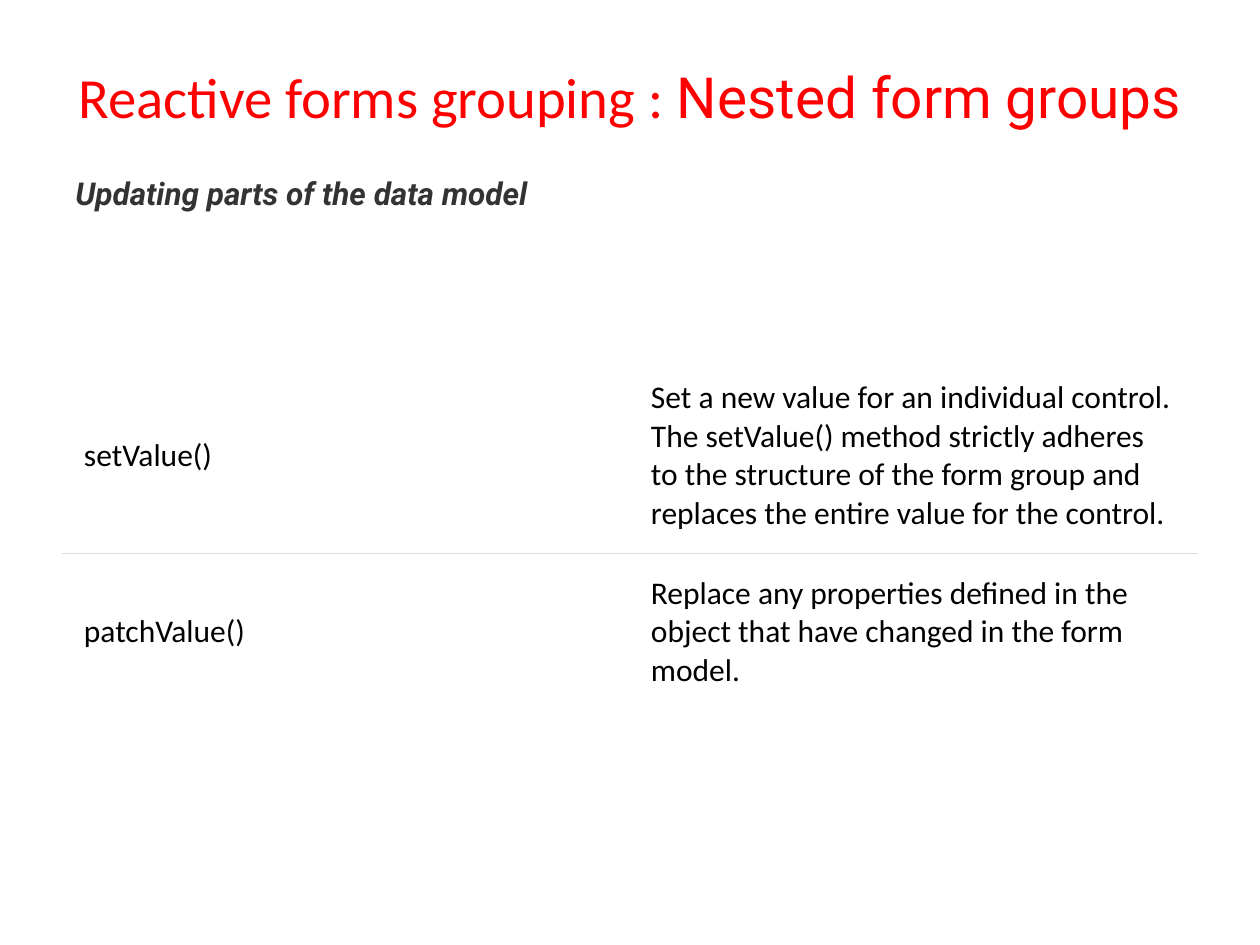
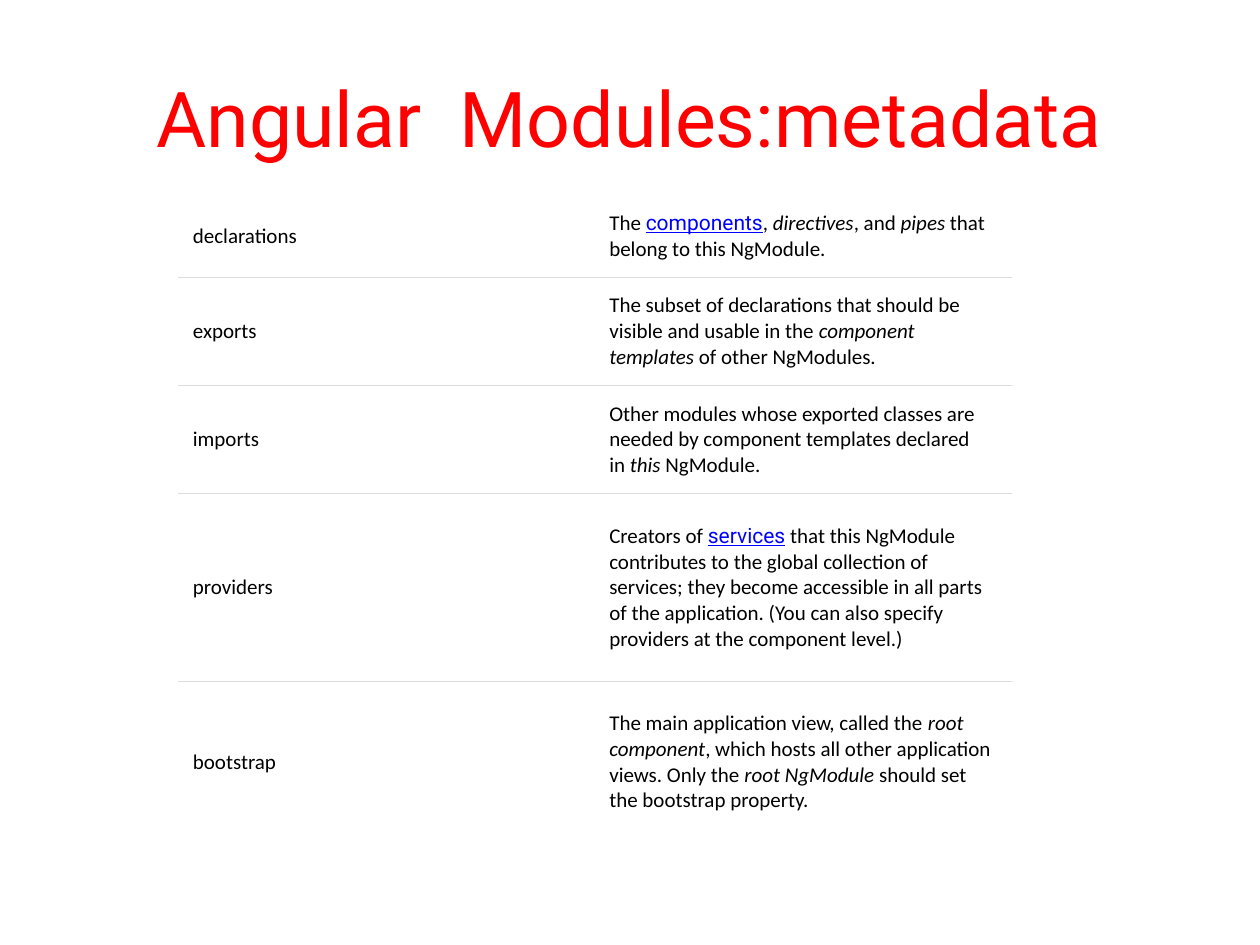
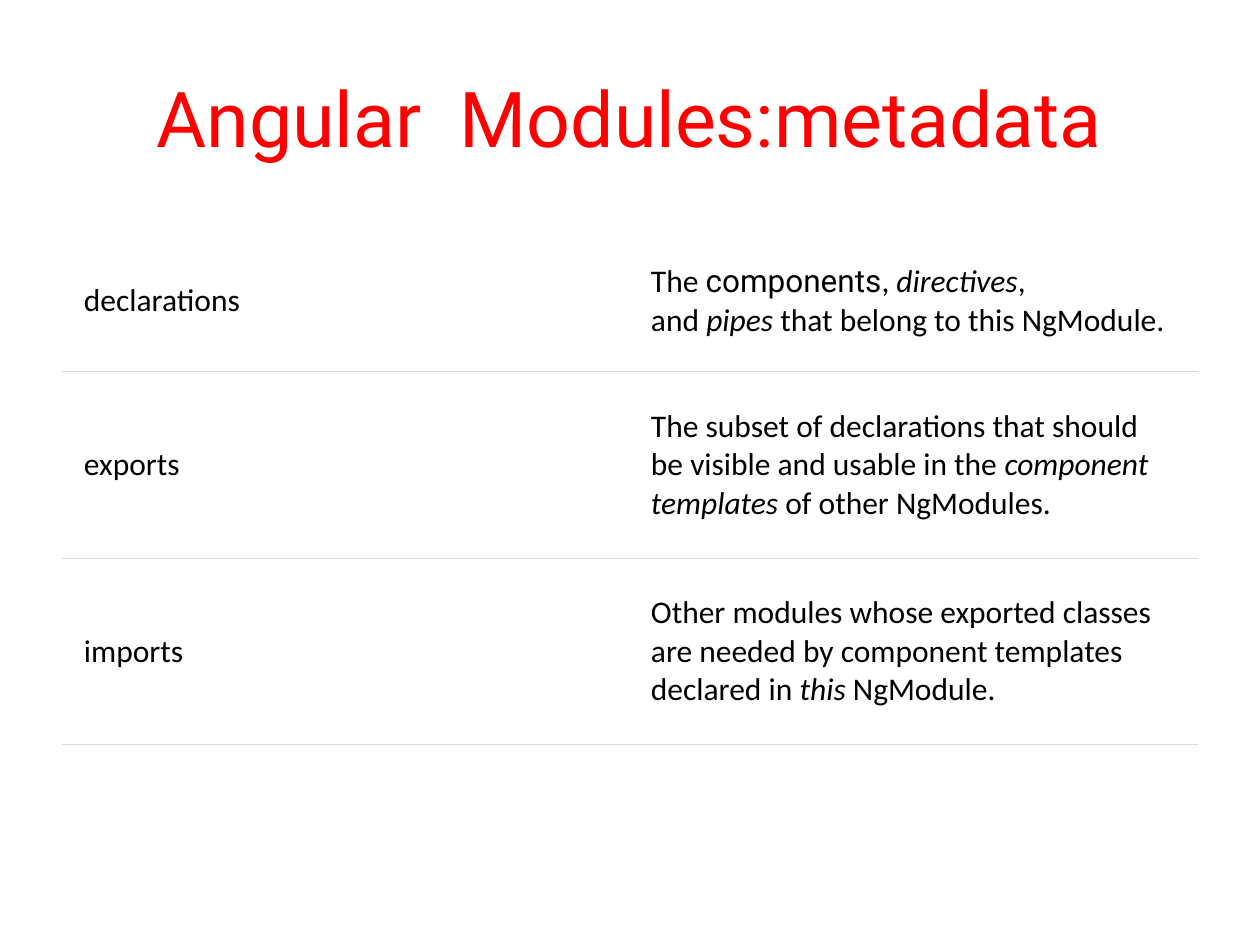
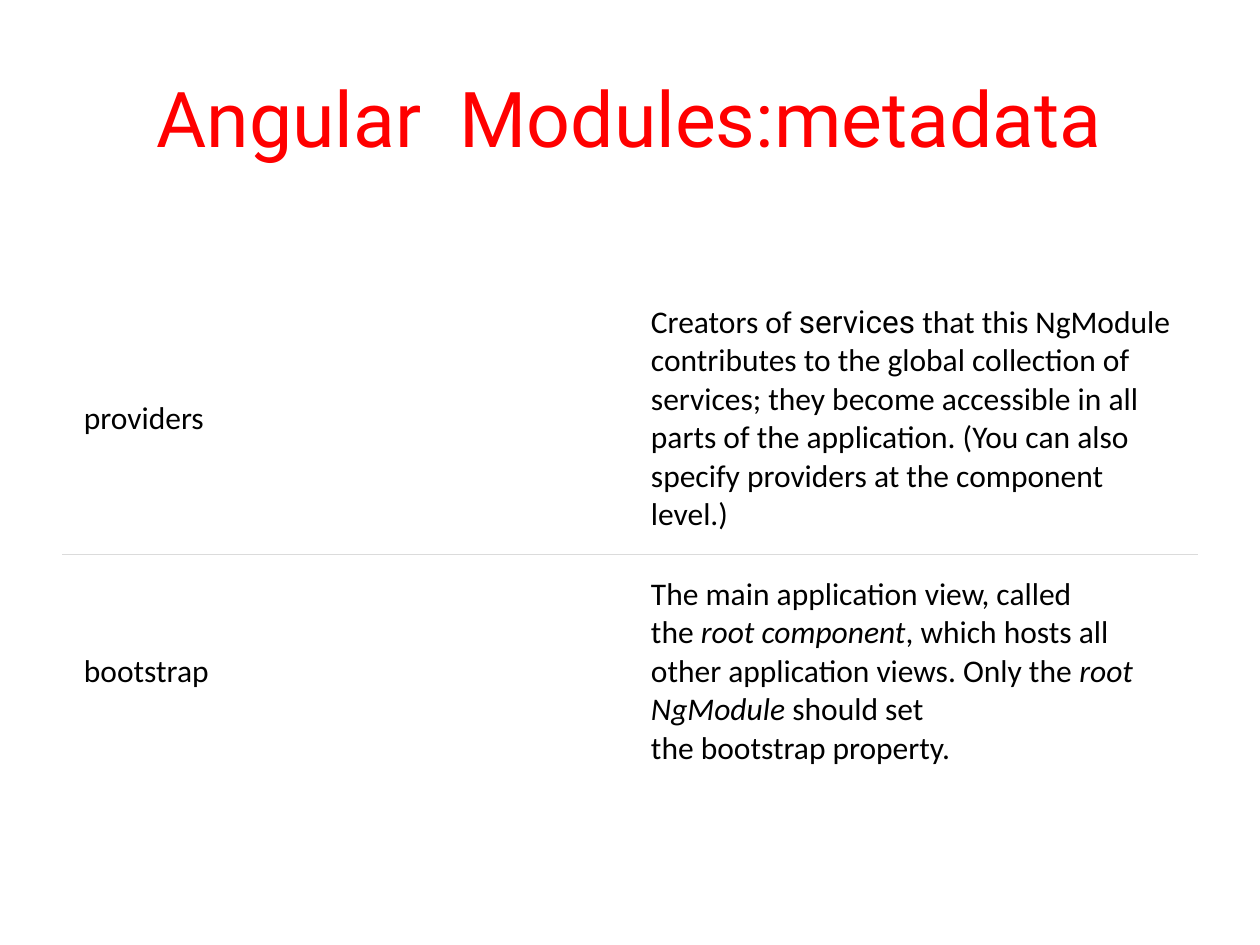
import dataclasses
import lxml.etree
import pptx
import pptx.dml.color
import pptx.enum.text
import pptx.oxml.ns
import pptx.util

RGB = pptx.dml.color.RGBColor.from_string
Pt = pptx.util.Pt
Inches = pptx.util.Inches
Anchor = pptx.enum.text.MSO_ANCHOR
Align = pptx.enum.text.PP_ALIGN


@dataclasses.dataclass(frozen=True)
class Theme:
    red: str = "FF0000"
    ink: str = "000000"
    gray: str = "333333"
    link: str = "0000FF"
    rule: str = "DBDBDB"
    paper: str = "FFFFFF"
    sans: str = "Calibri"
    alt: str = "Roboto"
    title: float = 44
    long: float = 32.4
    body: float = 18
    small: float = 12
    line: float = 0.75


T = Theme()
WIDE, HIGH = 10, 7.5
EDGE = WIDE / 20
SPAN = WIDE - 2 * EDGE
TOP = 0.3

META = "Angular  Modules:metadata"

# "*" opens an italic run, "^" a term
PARTS = [
    ("declarations",
     "The\u00a0|^components|,\u00a0|*directives|, and\u00a0|*pipes|"
     "\u00a0that belong to this NgModule."),
    ("exports",
     "The subset of declarations that should be visible and usable in the\u00a0|"
     "*component templates|\u00a0of other NgModules."),
    ("imports",
     "Other modules whose exported classes are needed by component templates "
     "declared in\u00a0|*this|\u00a0NgModule."),
    ("providers",
     "Creators of\u00a0|^services|\u00a0that this NgModule contributes to the global "
     "collection of services; they become accessible in all parts of the "
     "application. (You can also specify providers at the component level.)"),
    ("bootstrap",
     "The main application view, called the\u00a0|*root component|, which hosts all "
     "other application views. Only the\u00a0|*root NgModule|\u00a0should set "
     "the\u00a0bootstrap\u00a0property."),
]
CALLS = [
    ("setValue()",
     "Set a new value for an individual control. The\u00a0setValue()\u00a0method "
     "strictly adheres to the structure of the form group and replaces the "
     "entire value for the control."),
    ("patchValue()",
     "Replace any properties defined in the object that have changed in the "
     "form model."),
]

BIG = dict(left=EDGE, width=SPAN, size=T.body, pad=12, term=T.ink, close=False)
TIGHT = dict(left=1.42, width=6.61, size=T.small, pad=8, term=T.link, close=False)
PAGES = [
    dict(title=[("Reactive forms grouping : ", T.sans), ("Nested form groups", T.alt)],
         size=T.long, tall=1.45, foot=0.58, note="Updating parts of the data model",
         grid=dict(BIG, rows=CALLS, top=2.84, steps=[1.55, 1.25])),
    dict(grid=dict(TIGHT, rows=PARTS, top=1.55, steps=[0.65, 0.86, 0.86, 1.49, 1.28])),
    dict(grid=dict(BIG, rows=PARTS[:3], top=1.83, steps=[1.12, 1.48, 1.48], close=True)),
    dict(grid=dict(BIG, rows=PARTS[3:], top=2.24, steps=[2.16, 1.86])),
]
BASE = dict(title=[(META, T.alt)], size=T.title, tall=1.25, foot=0.05, note=None)


def style(run, size, face, color, bold=False, slant=False, under=False):
    font = run.font
    font.size, font.name = Pt(size), face
    font.color.rgb = RGB(color)
    font.bold, font.italic, font.underline = bold, slant, under


def add_box(slide, top, tall):
    box = slide.shapes.add_textbox(*map(Inches, (EDGE, top, SPAN, tall)))
    box.text_frame.word_wrap = True
    return box.text_frame


def add_title(slide, page):
    frame = add_box(slide, TOP, page["tall"])
    frame.vertical_anchor = Anchor.MIDDLE
    frame.margin_bottom = Inches(page["foot"])
    para = frame.paragraphs[0]
    para.alignment = Align.CENTER
    for text, face in page["title"]:
        run = para.add_run()
        run.text = text
        style(run, page["size"], face, T.red)


def add_note(slide, text):
    para = add_box(slide, 1.33, 0.45).paragraphs[0]
    para.text = text
    para.space_before = Pt(2)
    style(para.runs[0], T.body, T.alt, T.gray, bold=True, slant=True)


def add_rule(cell, side):
    tag = pptx.oxml.ns.qn
    line = lxml.etree.Element(tag("a:" + side), w=str(Pt(T.line)))
    fill = lxml.etree.SubElement(line, tag("a:solidFill"))
    lxml.etree.SubElement(fill, tag("a:srgbClr"), val=T.rule)
    cell._tc.get_or_add_tcPr().insert(0, line)


def fill_cell(cell, text, grid):
    cell.fill.solid()
    cell.fill.fore_color.rgb = RGB(T.paper)
    cell.vertical_anchor = Anchor.MIDDLE
    cell.margin_left = cell.margin_right = Pt(grid["pad"])
    cell.margin_top = cell.margin_bottom = Pt(grid["pad"])
    para = cell.text_frame.paragraphs[0]
    for part in text.split("|"):
        term, slant = part.startswith("^"), part.startswith("*")
        run = para.add_run()
        run.text = part.lstrip("^*")
        style(run, grid["size"], T.alt if term else T.sans,
              grid["term"] if term else T.ink, slant=slant,
              under=term and grid["term"] == T.link)


def add_grid(slide, grid):
    rows, steps = grid["rows"], grid["steps"]
    area = map(Inches, (grid["left"], grid["top"], grid["width"], sum(steps)))
    table = slide.shapes.add_table(len(rows), 2, *area).table
    table.first_row = table.horz_banding = False
    for col in table.columns:
        col.width = Inches(grid["width"] / 2)
    for r, (row, step) in enumerate(zip(rows, steps)):
        table.rows[r].height = Inches(step)
        for c, text in enumerate(row):
            cell = table.cell(r, c)
            fill_cell(cell, text, grid)
            if grid["close"] or r < len(rows) - 1:
                add_rule(cell, "lnB")
            if r:
                add_rule(cell, "lnT")


deck = pptx.Presentation()
deck.slide_width, deck.slide_height = Inches(WIDE), Inches(HIGH)
for item in PAGES:
    page = {**BASE, **item}
    slide = deck.slides.add_slide(deck.slide_layouts[6])
    add_title(slide, page)
    if page["note"]:
        add_note(slide, page["note"])
    add_grid(slide, page["grid"])
deck.save("out.pptx")
